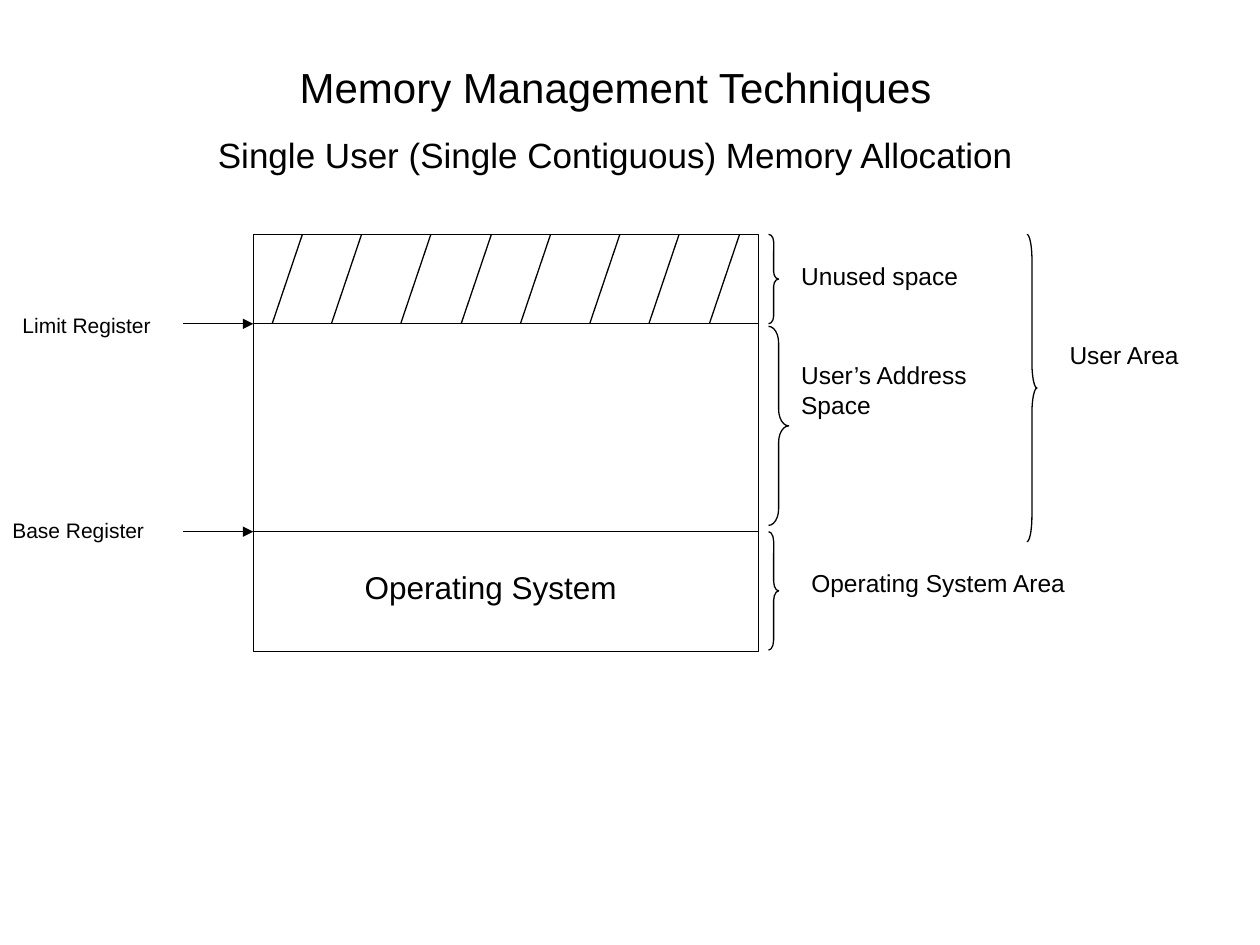
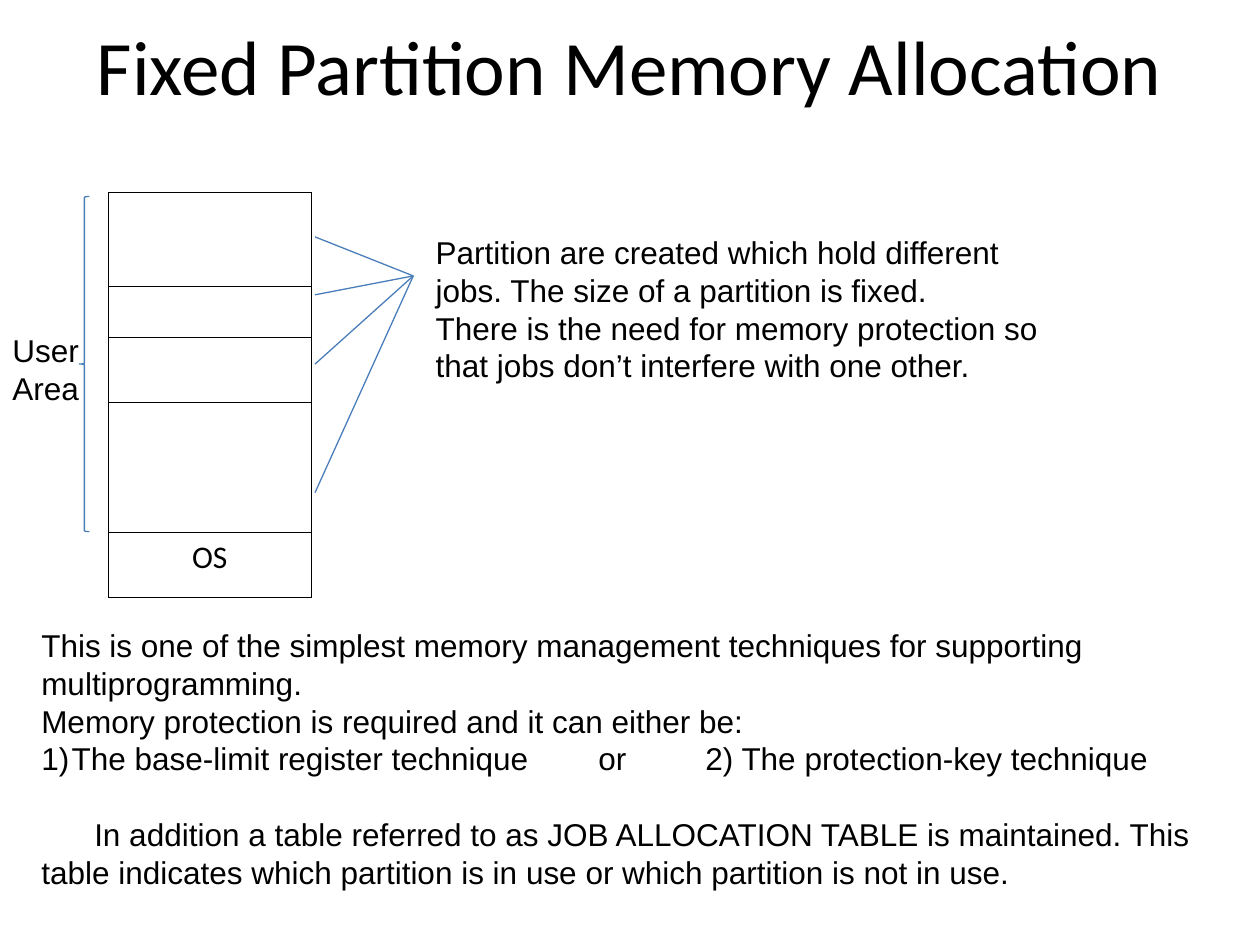
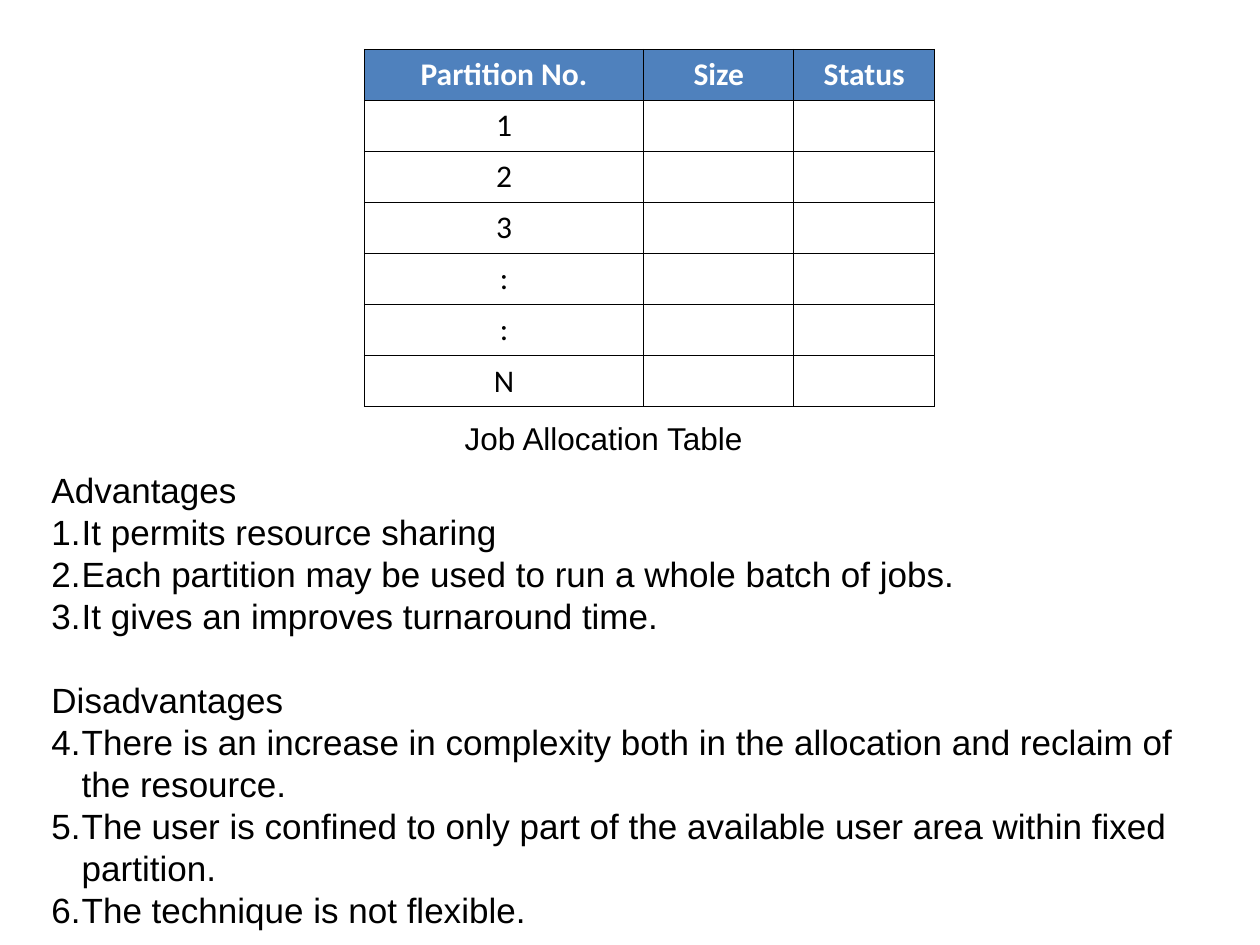
from dataclasses import dataclass

from pptx import Presentation
from pptx.dml.color import RGBColor
from pptx.enum.shapes import MSO_CONNECTOR, MSO_SHAPE
from pptx.enum.text import MSO_ANCHOR, MSO_AUTO_SIZE, PP_ALIGN
from pptx.oxml.ns import qn
from pptx.util import Inches, Pt
from lxml.etree import SubElement

BLACK = RGBColor(0x00, 0x00, 0x00)
WHITE = RGBColor(0xFF, 0xFF, 0xFF)
BLUE = RGBColor(0x4A, 0x7E, 0xBB)
HEADER_BLUE = RGBColor(0x4F, 0x81, 0xBD)
LINE_WIDTH = 0.75
BORDER_WIDTH = 0.45
NUMBER_HANG = 0.24


@dataclass
class Line:
    """A paragraph with settings beyond those of its box."""
    text: str
    size: float = None
    before: float = 0
    first_indent: float = 0
    numbering: str = None
    start: int = 1
    tabs: tuple = ()


# --- Text ---

def set_layout(para, line):
    props = para._p.get_or_add_pPr()
    if line.first_indent:
        props.set("indent", str(Inches(line.first_indent)))
    if line.numbering:
        props.set("marL", str(Inches(NUMBER_HANG)))
        props.set("indent", str(-Inches(NUMBER_HANG)))
        number = SubElement(props, qn("a:buAutoNum"), type=line.numbering)
        if line.start > 1:
            number.set("startAt", str(line.start))
    if line.tabs:
        stops = SubElement(props, qn("a:tabLst"))
        for position in line.tabs:
            SubElement(stops, qn("a:tab"), pos=str(Inches(position)), algn="l")
    if line.before:
        para.space_before = Pt(line.before)


def write_text(frame, *lines, size=18, font="Arial", color=BLACK, bold=False,
               align=PP_ALIGN.LEFT):
    for index, line in enumerate(lines):
        if isinstance(line, str):
            line = Line(line)
        para = frame.add_paragraph() if index else frame.paragraphs[0]
        set_layout(para, line)
        para.alignment = align
        span = para.add_run()
        span.text = line.text
        span.font.size = Pt(line.size or size)
        span.font.name = font
        span.font.bold = bold
        span.font.color.rgb = color


def add_text(page, left, top, width, height, *lines, anchor=MSO_ANCHOR.TOP,
             **style):
    box = page.shapes.add_textbox(Inches(left), Inches(top),
                                  Inches(width), Inches(height))
    frame = box.text_frame
    frame.word_wrap = True
    frame.auto_size = MSO_AUTO_SIZE.NONE
    frame.vertical_anchor = anchor
    write_text(frame, *lines, **style)


# --- Lines and shapes ---

def add_line(page, x1, y1, x2, y2, color=BLACK, arrow=False):
    link = page.shapes.add_connector(MSO_CONNECTOR.STRAIGHT, Inches(x1),
                                     Inches(y1), Inches(x2), Inches(y2))
    link.line.color.rgb = color
    link.line.width = Pt(LINE_WIDTH)
    props = link._element.spPr
    if arrow:
        SubElement(props.find(qn("a:ln")), qn("a:tailEnd"), type="triangle")
    SubElement(props, qn("a:effectLst"))


def add_outline(page, kind, left, top, width, height, color=BLACK, fill=None):
    shape = page.shapes.add_shape(kind, Inches(left), Inches(top),
                                  Inches(width), Inches(height))
    shape.shadow.inherit = False
    shape.line.color.rgb = color
    shape.line.width = Pt(LINE_WIDTH)
    if fill is None:
        shape.fill.background()
    else:
        shape.fill.solid()
        shape.fill.fore_color.rgb = fill
    return shape


def add_right_brace(page, left, top, width, height):
    brace = add_outline(page, MSO_SHAPE.RIGHT_BRACE, left, top, width, height)
    brace.adjustments[0] = height / 12 / width


# --- Tables ---

def set_borders(cell):
    props = cell._tc.get_or_add_tcPr()
    for index, side in enumerate(("a:lnL", "a:lnR", "a:lnT", "a:lnB")):
        edge = props.makeelement(qn(side), {"w": str(Pt(BORDER_WIDTH))})
        fill = SubElement(edge, qn("a:solidFill"))
        SubElement(fill, qn("a:srgbClr"), val=str(BLACK))
        props.insert(index, edge)


def add_grid(page, left, top, widths, heights, rows, header=False):
    frame = page.shapes.add_table(
        len(rows), len(widths), Inches(left), Inches(top),
        Inches(sum(widths)), Inches(sum(heights)))
    table = frame.table
    table.first_row = header
    table.horz_banding = False
    for column, width in zip(table.columns, widths):
        column.width = Inches(width)
    for index, (height, texts) in enumerate(zip(heights, rows)):
        table.rows[index].height = Inches(height)
        is_header = header and index == 0
        for column, text in enumerate(texts):
            cell = table.cell(index, column)
            cell.fill.solid()
            cell.fill.fore_color.rgb = HEADER_BLUE if is_header else WHITE
            set_borders(cell)
            if text:
                write_text(cell.text_frame, text, font="Calibri",
                           color=WHITE if is_header else BLACK,
                           bold=is_header, align=PP_ALIGN.CENTER)


# --- Slides ---

def build_single_user(page):
    left, right, top = 2.01, 6.02, 1.86
    limit, base = 2.57, 4.22
    add_text(page, 1.38, 0.44, 7.01, 1.01, "Memory Management Techniques",
             Line("Single User (Single Contiguous) Memory Allocation",
                  size=20, before=12.5),
             size=24, align=PP_ALIGN.CENTER)

    # Memory block with its unused part hatched
    add_outline(page, MSO_SHAPE.RECTANGLE, left, top, right - left, 3.31,
                fill=WHITE)
    for x in (2.4, 2.87, 3.42, 3.9, 4.37, 4.92, 5.39, 5.87):
        add_line(page, x, top, x - 0.24, limit)
    for level in (limit, base):
        add_line(page, left, level, right, level)
        add_line(page, 1.45, level, left, level, arrow=True)
    add_text(page, 0.08, 2.43, 1.38, 0.3, "Limit Register", size=12)
    add_text(page, 0, 4.06, 1.46, 0.3, "Base Register", size=12)
    add_text(page, 2.16, 4.46, 3.47, 0.4, "Operating System",
             align=PP_ALIGN.CENTER)

    # Areas
    for brace in ((6.1, top, 0.08, 0.71), (6.1, 2.59, 0.16, 1.58),
                  (6.1, base, 0.08, 0.94), (8.15, top, 0.08, 2.44)):
        add_right_brace(page, *brace)
    for x, y, width, height, label in (
            (6.26, 2.02, 1.65, 0.34, "Unused space"),
            (6.26, 2.81, 1.81, 0.57, "User’s Address Space"),
            (6.34, 4.46, 2.28, 0.34, "Operating System Area"),
            (8.39, 2.65, 1.34, 0.34, "User Area")):
        add_text(page, x, y, width, height, label, size=14)


def build_fixed_partition(page):
    add_text(page, 0.5, 0, 9, 1.02, "Fixed Partition Memory Allocation",
             size=44, font="Calibri", align=PP_ALIGN.CENTER,
             anchor=MSO_ANCHOR.MIDDLE)

    # Partitions
    add_grid(page, 0.86, 1.53, [1.61], [0.74, 0.4, 0.52, 1.03, 0.52],
             [[""], [""], [""], [""], ["OS"]])
    add_outline(page, MSO_SHAPE.LEFT_BRACE, 0.63, 1.56, 0.08, 2.66, color=BLUE)
    add_text(page, 0, 2.58, 0.78, 0.7, "User", "Area")
    for y in (1.88, 2.34, 2.89, 3.91):
        add_line(page, 2.5, y, 3.28, 2.19, color=BLUE)

    # Explanation
    add_text(page, 3.36, 1.8, 5.23, 1.3,
             "Partition are created which hold different jobs. "
             "The size of a partition is fixed.",
             "There is the need for memory protection so that jobs "
             "don’t interfere with one other.")
    add_text(page, 0.23, 4.92, 9.53, 2.2,
             "This is one of the simplest memory management techniques for "
             "supporting multiprogramming.",
             "Memory protection is required and it can either be:",
             Line("The base-limit register technique\tor\t"
                  "2) The protection-key technique",
                  numbering="arabicParenR", tabs=(4.42, 5.27)),
             Line("In addition a table referred to as JOB ALLOCATION TABLE is "
                  "maintained. This table indicates which partition is in use "
                  "or which partition is not in use.",
                  before=21.5, first_indent=0.42))


def build_job_table(page):
    labels = ["1", "2", "3", ":", ":", "N"]
    rows = [["Partition No.", "Size", "Status"]]
    rows += [[label, "", ""] for label in labels]
    add_grid(page, 2.89, 0.39, [2.22, 1.19, 1.12],
             [2.84 / len(rows)] * len(rows), rows, header=True)
    add_text(page, 3.59, 3.28, 2.97, 0.4, "Job Allocation Table")

    # Advantages and disadvantages, numbered as one series
    advantages = ["It permits resource sharing",
                  "Each partition may be used to run a whole batch of jobs.",
                  "It gives an improves turnaround time."]
    disadvantages = ["There is an increase in complexity both in the "
                     "allocation and reclaim of the resource.",
                     "The user is confined to only part of the available user "
                     "area within fixed partition.",
                     "The technique is not flexible."]
    add_text(page, 0.31, 3.67, 9.45, 3.77,
             "Advantages",
             *[Line(text, numbering="arabicPeriod") for text in advantages],
             Line("Disadvantages", before=24),
             *[Line(text, numbering="arabicPeriod", start=len(advantages) + 1)
               for text in disadvantages],
             size=20)


def main():
    deck = Presentation()
    deck.slide_width = Inches(10)
    deck.slide_height = Inches(7.5)
    for build in (build_single_user, build_fixed_partition, build_job_table):
        build(deck.slides.add_slide(deck.slide_layouts[6]))
    deck.save("out.pptx")


if __name__ == "__main__":
    main()
